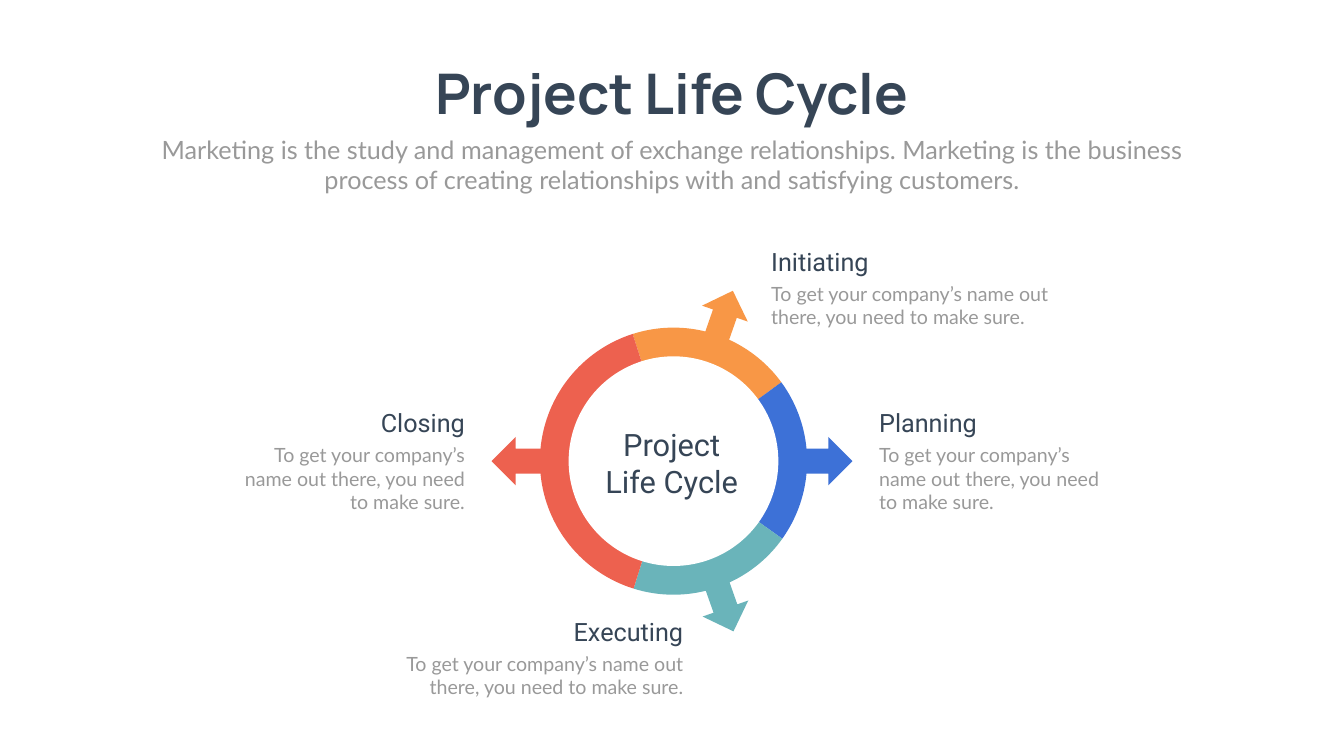
"""Build a slide with a four-stage project life cycle ring."""
from math import asin, cos, degrees, radians, sin, tan

from pptx import Presentation
from pptx.dml.color import RGBColor
from pptx.enum.shapes import MSO_SHAPE
from pptx.enum.text import MSO_ANCHOR, MSO_AUTO_SIZE, PP_ALIGN
from pptx.oxml.ns import qn
from pptx.util import Inches, Pt

SLIDE_SIZE = 26.66, 15
CENTER = 13.36, 9.15
RING, HOLE, HEAD_LENGTH = 2.65, 2.08, 0.48
SHAFT_HALF, HEAD_HALF = 0.25, 0.48
LABEL_WIDTH, LABEL_HEIGHT = 2.95, 0.7
WIDE, NARROW = 6.21, 4.66

TITLE = "Project Life Cycle"
SUBTITLE = (
    "Marketing is the study and management of exchange relationships. "
    "Marketing is the business process of creating relationships with "
    "and satisfying customers."
)
DETAIL = "To get your company’s name out there, you need to make sure."

STAGES = [
    {"name": "Initiating", "color": "F89746", "arc": (-107.8, -36.2),
     "arrow": -70.8, "tip": 3.58, "edge": 15.2, "top": 4.84, "width": WIDE,
     "align": PP_ALIGN.LEFT},
    {"name": "Planning", "color": "3D71D7", "arc": (-36.2, 35.5),
     "arrow": 0, "tip": 3.55, "edge": 17.34, "top": 8.04, "width": NARROW,
     "align": PP_ALIGN.LEFT},
    {"name": "Executing", "color": "6AB4BA", "arc": (35.5, 107.4),
     "arrow": 70.6, "tip": 3.58, "edge": 13.65, "top": 12.18, "width": WIDE,
     "align": PP_ALIGN.RIGHT},
    {"name": "Closing", "color": "ED614F", "arc": (107.4, 252.2),
     "arrow": 180, "tip": 3.61, "edge": 9.32, "top": 8.04, "width": NARROW,
     "align": PP_ALIGN.RIGHT},
]

FORMATS = {
    "title": {"name": "Manrope", "size": Pt(80), "bold": True, "color": "364556"},
    "subtitle": {"name": "Lato", "size": Pt(36), "color": "999999"},
    "label": {"name": "Roboto", "size": Pt(36), "color": "364556"},
    "detail": {"name": "Lato", "size": Pt(28), "color": "999999"},
    "hub": {"name": "Roboto", "size": Pt(44), "color": "364556"},
}


def set_color(target, color):
    """Give a font or a fill a solid colour."""
    if hasattr(target, "solid"):
        target.solid()
        target.fore_color.rgb = RGBColor.from_string(color)
    else:
        target.color.rgb = RGBColor.from_string(color)


def write(shape, text, style, align, wrap=True):
    """Put formatted text into a shape."""
    frame = shape.text_frame
    frame.text = text
    frame.word_wrap = wrap
    frame.auto_size = MSO_AUTO_SIZE.NONE
    frame.vertical_anchor = MSO_ANCHOR.TOP
    paragraph = frame.paragraphs[0]
    paragraph.alignment = align
    paragraph.space_before = Pt(0)
    font = paragraph.runs[0].font
    for key, value in FORMATS[style].items():
        if key == "color":
            set_color(font, value)
        else:
            setattr(font, key, value)


def place(shape, left, top, width, height):
    """Move and size a shape in inches."""
    box = {"left": left, "top": top, "width": width, "height": height}
    for key, value in box.items():
        setattr(shape, key, Inches(value))


def finish(shape, color):
    """Fill a shape and drop its line and shadow."""
    set_color(shape.fill, color)
    shape.line.fill.background()
    shape.shadow.inherit = False


def polar(radius, angle, offset=0):
    """Return the point at a radius, shifted sideways from its ray."""
    turn = radians(angle)
    return (Inches(CENTER[0] + radius * cos(turn) - offset * sin(turn)),
            Inches(CENTER[1] + radius * sin(turn) + offset * cos(turn)))


def arc(start, end):
    """Return start, two Bezier controls and end of a ring arc."""
    pull = RING * 4 / 3 * tan(radians(end - start) / 4)
    return [polar(RING, start), polar(RING, start, pull),
            polar(RING, end, -pull), polar(RING, end)]


def bend(shape, starts):
    """Turn three straight segments from each start into one curve."""
    outline = next(shape.element.iter(qn("a:path")))
    lines = outline.findall(qn("a:lnTo"))
    for start in starts:
        curve = outline.makeelement(qn("a:cubicBezTo"))
        lines[start].addprevious(curve)
        for line in lines[start:start + 3]:
            curve.append(line[0])
            outline.remove(line)


def add_wedge(slide, stage):
    """Draw one sector with its outward arrow."""
    start, end = stage["arc"]
    arrow, tip = stage["arrow"], stage["tip"]
    head = tip - HEAD_LENGTH
    gap = degrees(asin(SHAFT_HALF / RING))
    pointer = [(head, -SHAFT_HALF), (head, -HEAD_HALF), (tip, 0),
               (head, HEAD_HALF), (head, SHAFT_HALF)]
    first = arc(start, arrow - gap)
    points = first + [polar(radius, arrow, offset) for radius, offset in pointer]
    second_curve = len(points) + 1
    points += arc(arrow + gap, end)
    builder = slide.shapes.build_freeform(*polar(0, 0))
    builder.add_line_segments(points, close=True)
    shape = builder.convert_to_shape()
    bend(shape, (1, second_curve))
    finish(shape, stage["color"])


def add_text(shapes, box, text, style, align):
    """Add a text box at a place given in inches."""
    shape = shapes.add_textbox(*map(Inches, box))
    write(shape, text, style, align)


def add_label(slide, stage):
    """Add the grouped heading and detail of a stage."""
    shapes = slide.shapes.add_group_shape().shapes
    top, align = stage["top"], stage["align"]
    detail_height = 1.04 if stage["width"] == WIDE else 1.51
    rows = [(stage["name"], "label", top, LABEL_WIDTH, LABEL_HEIGHT),
            (DETAIL, "detail", top + LABEL_HEIGHT, stage["width"], detail_height)]
    for text, style, row_top, width, height in rows:
        left = stage["edge"] - (width if align == PP_ALIGN.RIGHT else 0)
        add_text(shapes, (left, row_top, width, height), text, style, align)


def main():
    """Build and save the slide."""
    presentation = Presentation()
    presentation.slide_width, presentation.slide_height = map(Inches, SLIDE_SIZE)
    slide = presentation.slides.add_slide(presentation.slide_layouts[0])
    title, subtitle = slide.placeholders
    place(title, 8.35, 1.12, 9.95, 1.45)
    write(title, TITLE, "title", PP_ALIGN.CENTER, wrap=False)
    place(subtitle, 2.92, 2.61, 20.82, 1.31)
    write(subtitle, SUBTITLE, "subtitle", PP_ALIGN.CENTER)

    for stage in STAGES:
        add_wedge(slide, stage)
    hub_box = [CENTER[0] - HOLE, CENTER[1] - HOLE, 2 * HOLE, 2 * HOLE]
    hub = slide.shapes.add_shape(MSO_SHAPE.OVAL, *map(Inches, hub_box))
    finish(hub, "FFFFFF")
    for stage in STAGES:
        add_label(slide, stage)
    add_text(slide.shapes, (11.85, 8.39, LABEL_WIDTH, 1.58), TITLE, "hub",
             PP_ALIGN.CENTER)
    presentation.save("out.pptx")


if __name__ == "__main__":
    main()
